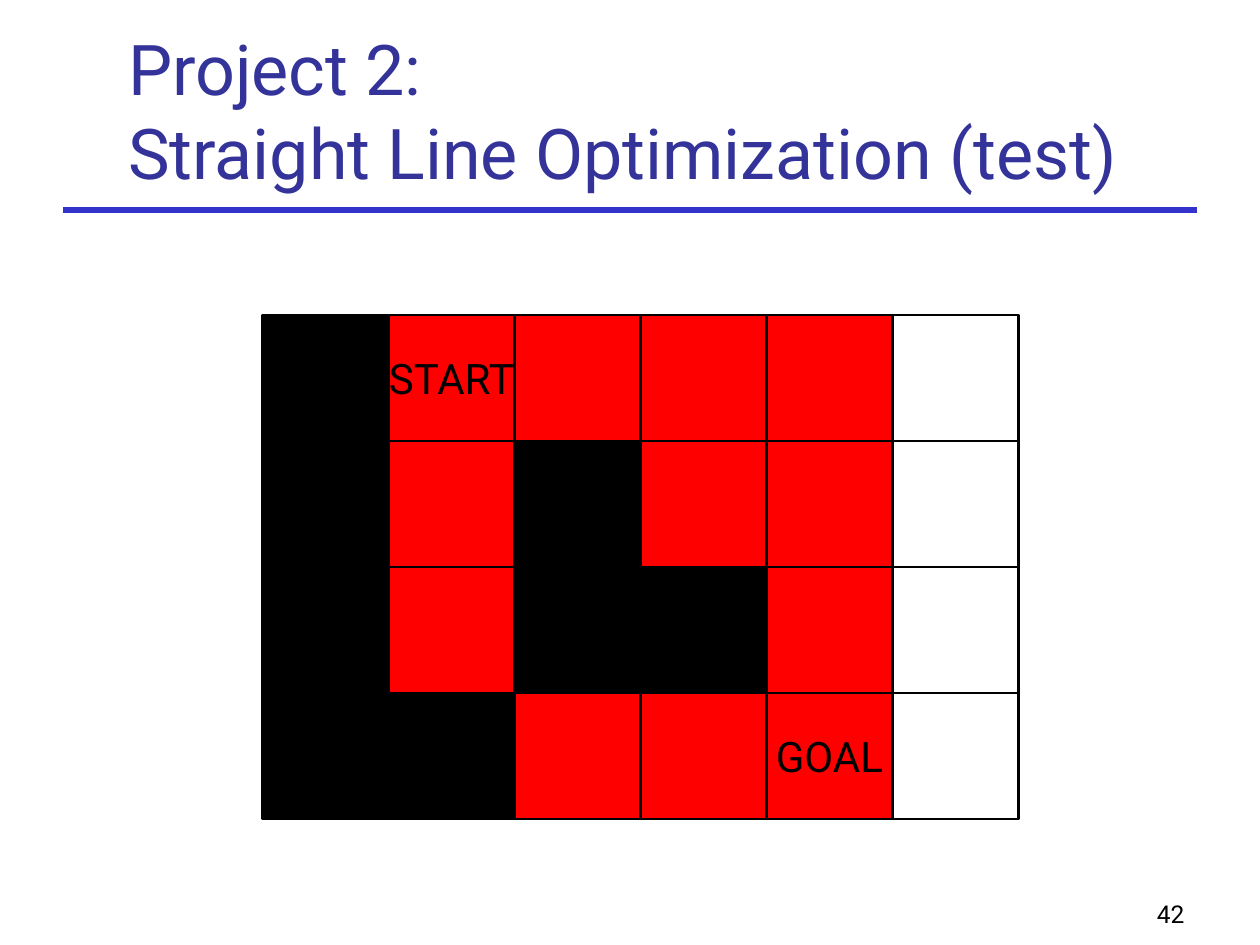
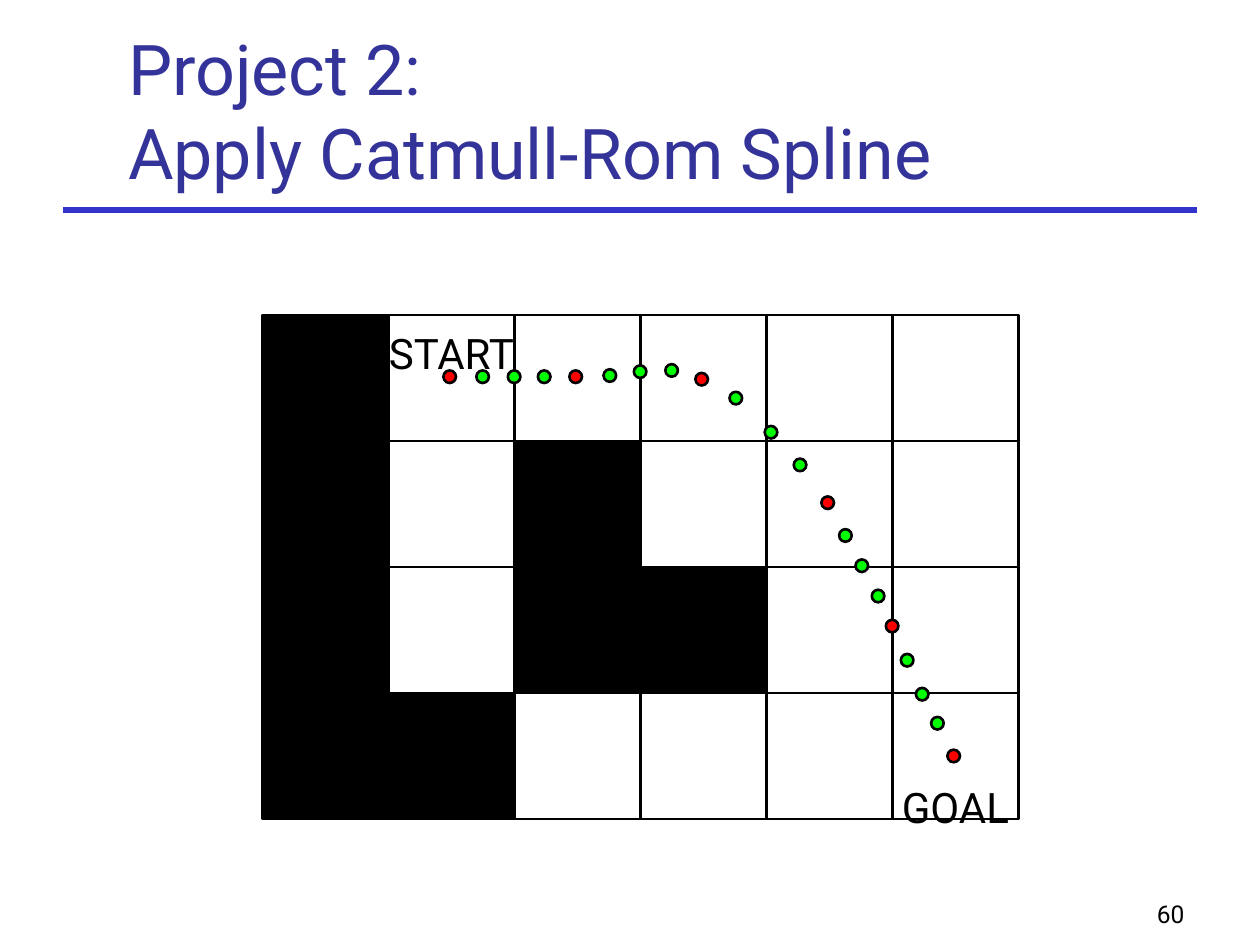
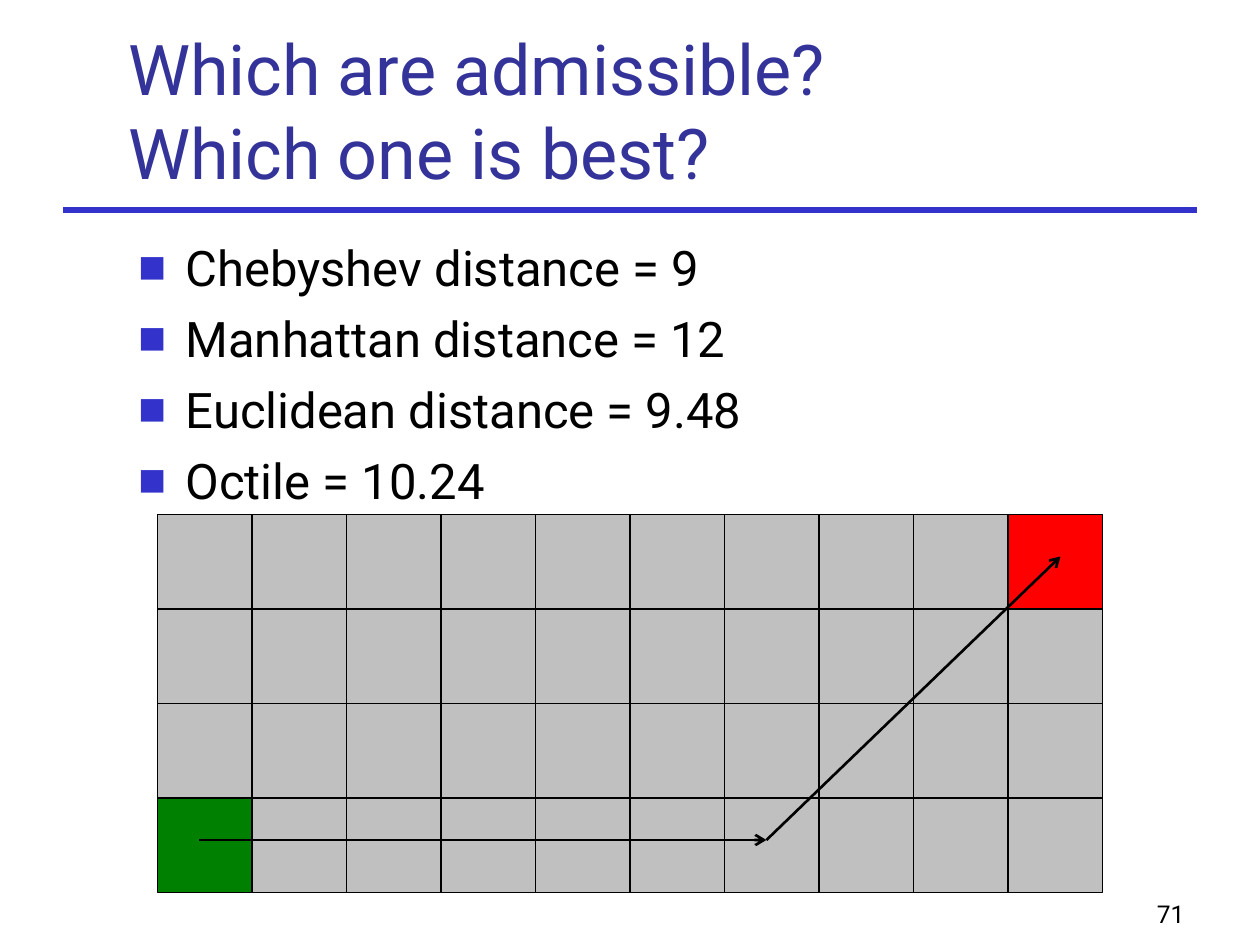
from dataclasses import dataclass, field

from lxml.etree import SubElement as Sub
from pptx import Presentation
from pptx.dml.color import RGBColor as RGB
from pptx.enum.shapes import MSO_CONNECTOR as Conn, MSO_SHAPE as Kind
from pptx.enum.text import MSO_ANCHOR as Anchor, MSO_AUTO_SIZE as Auto, PP_ALIGN as Align
from pptx.oxml.ns import qn
from pptx.slide import Slide
from pptx.util import Pt


# Theme: colours, type sizes and line widths
@dataclass(frozen=True)
class Theme:
    font: str = "Roboto"
    title: str = "333399"
    rule: str = "3333CC"
    ink: str = "000000"
    white: str = "FFFFFF"
    red: str = "FF0000"
    lime: str = "00FF00"
    green: str = "008000"
    gray: str = "C0C0C0"
    title_size: float = 40
    body_size: float = 28
    cell_size: float = 24
    page_size: float = 14
    rule_width: float = 3
    line_width: float = 1.5
    thin_width: float = 1


T = Theme()
FILLS = {"#": T.ink, "R": T.red, ".": T.white, "g": T.gray, "G": T.green}
Point = tuple[float, float]


@dataclass(frozen=True)
class Label:
    text: str
    row: int
    col: int
    shift: float = 0  # downward move from the middle of the cell


@dataclass(frozen=True)
class Grid:
    left: float
    top: float
    cell: float
    rows: list[str]
    width: float = T.line_width
    labels: list[Label] = field(default_factory=list)


@dataclass(frozen=True)
class Line:
    start: Point
    end: Point
    color: str = T.ink
    width: float = T.line_width
    arrow: bool = False


# Drawing helpers
def add_run(para, text: str, size: float, color: str = T.ink) -> None:
    run = para.add_run()
    run.text = text
    run.font.name = T.font
    run.font.size = Pt(size)
    run.font.color.rgb = RGB.from_string(color)


def draw_shape(slide: Slide, kind: Kind, left: float, top: float,
               size: float, fill: str, width: float):
    shape = slide.shapes.add_shape(kind, Pt(left), Pt(top), Pt(size), Pt(size))
    shape.shadow.inherit = False
    shape.fill.solid()
    shape.fill.fore_color.rgb = RGB.from_string(fill)
    shape.line.color.rgb = RGB.from_string(T.ink)
    shape.line.width = Pt(width)
    return shape


def draw_line(slide: Slide, line: Line) -> None:
    ends = [Pt(v) for v in (*line.start, *line.end)]
    conn = slide.shapes.add_connector(Conn.STRAIGHT, *ends)
    conn.line.color.rgb = RGB.from_string(line.color)
    conn.line.width = Pt(line.width)
    props = conn.line._get_or_add_ln()
    if line.arrow:
        Sub(props, qn("a:tailEnd"), type="arrow")
    Sub(props.getparent(), qn("a:effectLst"))


def add_box(slide: Slide, left: float, top: float, width: float, height: float):
    box = slide.shapes.add_textbox(Pt(left), Pt(top), Pt(width), Pt(height))
    box.text_frame.word_wrap = True
    return box.text_frame


def write_label(shape, label: Label) -> None:
    frame = shape.text_frame
    frame.word_wrap = False
    frame.vertical_anchor = Anchor.MIDDLE
    frame.margin_top = Pt(3.6 + 2 * max(label.shift, 0))
    frame.margin_bottom = Pt(3.6 + 2 * max(-label.shift, 0))
    para = frame.paragraphs[0]
    para.alignment = Align.CENTER
    add_run(para, label.text, T.cell_size)


def draw_grid(slide: Slide, grid: Grid) -> None:
    labels = {(label.row, label.col): label for label in grid.labels}
    for r, row in enumerate(grid.rows):
        for c, mark in enumerate(row):
            shape = draw_shape(slide, Kind.RECTANGLE, grid.left + c * grid.cell,
                               grid.top + r * grid.cell, grid.cell,
                               FILLS[mark], grid.width)
            if (r, c) in labels:
                write_label(shape, labels[r, c])


def draw_dots(slide: Slide, dots: list[Point], step: int) -> None:
    """Every step-th dot is a waypoint; the rest lie on the spline."""
    size = 7.2
    for i, (x, y) in enumerate(dots):
        fill = T.lime if i % step else T.red
        draw_shape(slide, Kind.OVAL, x - size / 2, y - size / 2, size, fill, T.line_width)


def draw_list(slide: Slide, items: list[str]) -> None:
    frame = add_box(slide, 72, 132, 612, 348)
    for i, item in enumerate(items):
        para = frame.add_paragraph() if i else frame.paragraphs[0]
        if i:
            para.space_before = Pt(7)
        props = para._p.get_or_add_pPr()
        props.set("marL", str(Pt(27)))
        props.set("indent", str(-Pt(27)))
        Sub(Sub(props, qn("a:buClr")), qn("a:srgbClr"), val=T.rule)
        Sub(props, qn("a:buSzPct"), val="60000")
        Sub(props, qn("a:buFont"), typeface=T.font)
        Sub(props, qn("a:buChar"), char="■")
        add_run(para, item, T.body_size)


# Shared frame: title, rule and page number
def add_slide(deck, lines: list[str], page: int) -> Slide:
    slide = deck.slides.add_slide(deck.slide_layouts[5])
    draw_line(slide, Line((36, 120), (684, 120), T.rule, T.rule_width))

    title = slide.shapes.title
    title.left, title.top, title.width, title.height = Pt(66), Pt(24), Pt(613.5), Pt(90)
    frame = title.text_frame
    frame.auto_size = Auto.NONE
    frame.word_wrap = True
    frame.vertical_anchor = Anchor.BOTTOM
    para = frame.paragraphs[0]
    para.alignment = Align.LEFT
    for i, line in enumerate(lines):
        if i:
            para.add_line_break()
        add_run(para, line, T.title_size, T.title)

    foot = add_box(slide, 534, 498, 150, 36)
    foot.vertical_anchor = Anchor.BOTTOM
    foot.paragraphs[0].alignment = Align.RIGHT
    add_run(foot.paragraphs[0], str(page), T.page_size)
    return slide


# Slide contents
TEST = Grid(150, 180, 72, ["#RRRR.", "#R#RR.", "#R##R.", "##RRR."],
            labels=[Label("START", 0, 1), Label("GOAL", 3, 4)])
MAZE = Grid(150, 180, 72, ["#.....", "#.#...", "#.##..", "##...."],
            labels=[Label("START", 0, 1, -14.4), Label("GOAL", 3, 5, 28.8)])
FIELD = Grid(90, 294, 54, ["g" * 9 + "R", "g" * 10, "g" * 10, "G" + "g" * 9],
             T.thin_width)

SPLINE = [
    (257, 215.3), (275.8, 215.3), (293.8, 215.3), (311, 215.3),
    (329, 215.3), (348.5, 214.6), (365.8, 212.4), (383.8, 211.7),
    (401, 216.7), (420.5, 227.5), (440.6, 247), (457.2, 265.7),
    (473, 287.3), (483.1, 306), (492.5, 323.3), (501.8, 340.6),
    (509.8, 357.8), (518.4, 377.3), (527, 396.7), (535.7, 413.3),
    (545, 432),
]
ROUTE = [(114, 480), (438, 480), (606, 318)]
COSTS = ["Chebyshev distance = 9", "Manhattan distance = 12",
         "Euclidean distance = 9.48", "Octile = 10.24"]


def main() -> None:
    deck = Presentation()
    deck.slide_width, deck.slide_height = Pt(720), Pt(540)

    # Straight line test
    slide = add_slide(deck, ["Project 2:", "Straight Line Optimization (test)"], 42)
    draw_grid(slide, TEST)

    # Smoothed path
    slide = add_slide(deck, ["Project 2:", "Apply Catmull-Rom Spline"], 60)
    draw_grid(slide, MAZE)
    draw_dots(slide, SPLINE, 4)

    # Distance measures
    slide = add_slide(deck, ["Which are admissible?", "Which one is best?"], 71)
    draw_list(slide, COSTS)
    draw_grid(slide, FIELD)
    for start, end in zip(ROUTE, ROUTE[1:]):
        draw_line(slide, Line(start, end, arrow=True))

    deck.save("out.pptx")


if __name__ == "__main__":
    main()
